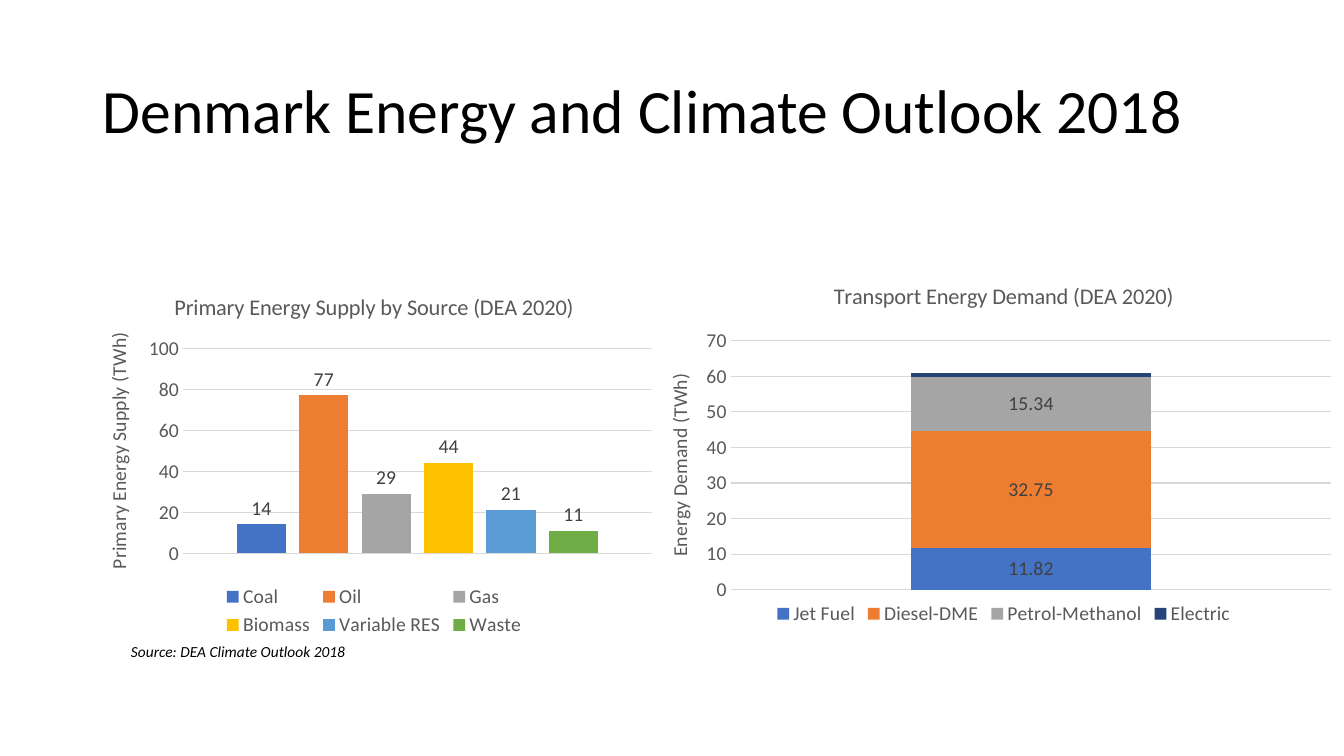
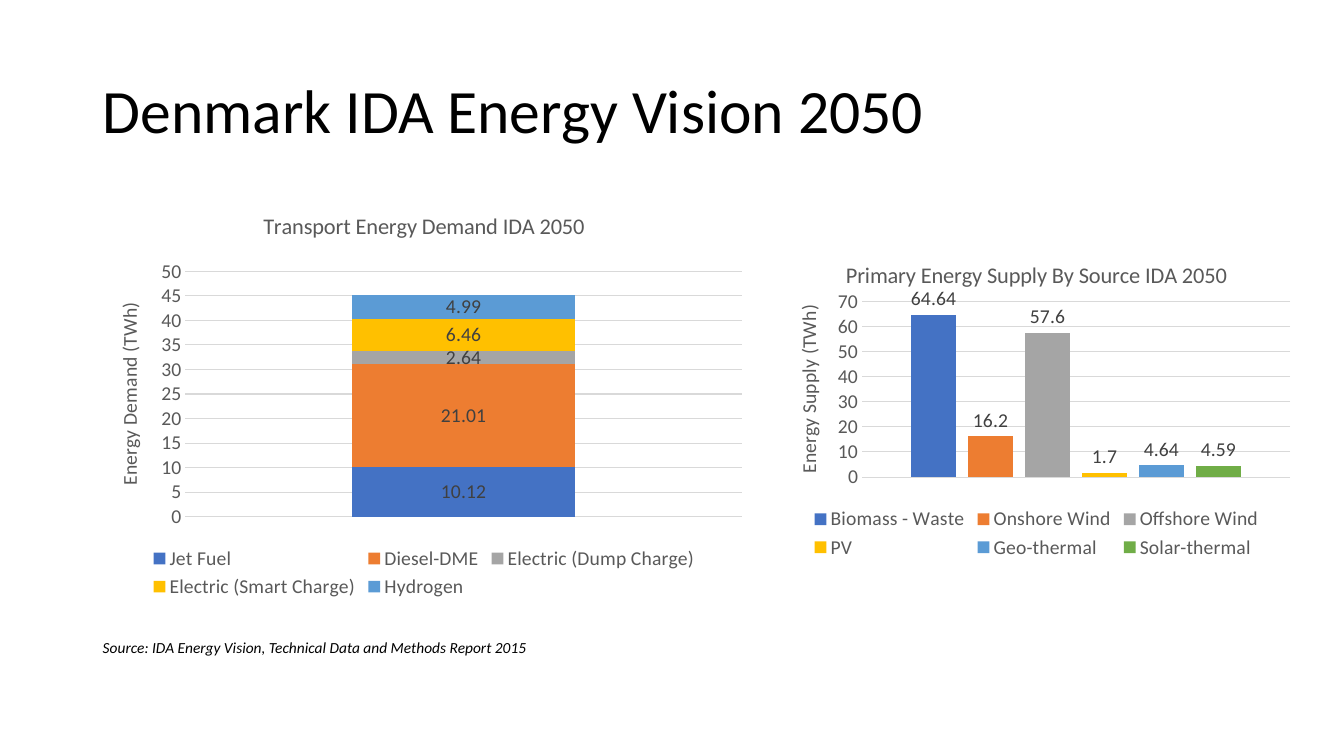
"""Build two slides of energy charts for Denmark."""
from lxml import etree
from pptx import Presentation
from pptx.chart.data import CategoryChartData
from pptx.dml.color import RGBColor
from pptx.enum.chart import XL_CHART_TYPE, XL_LABEL_POSITION, XL_LEGEND_POSITION, XL_TICK_MARK
from pptx.enum.text import MSO_ANCHOR
from pptx.oxml.ns import qn
from pptx.util import Inches, Pt

NO_TICK = XL_TICK_MARK.NONE
BOTTOM = XL_LEGEND_POSITION.BOTTOM
MIDDLE = MSO_ANCHOR.MIDDLE

THEME = {
    "font": "Calibri",
    "ink": "000000", "gray": "595959", "label": "404040", "grid": "D9D9D9",
    "series": ["4472C4", "ED7D31", "A5A5A5", "FFC000", "5B9BD5", "70AD47"],
    "navy": "264478",
    "title": 44, "head": 16, "body": 14, "note": 11,
}
STYLES = {
    "group": (XL_CHART_TYPE.COLUMN_CLUSTERED, XL_LABEL_POSITION.OUTSIDE_END, 219, -27),
    "stack": (XL_CHART_TYPE.COLUMN_STACKED, XL_LABEL_POSITION.CENTER, 150, 100),
}
TITLE_BOX = (0.92, 0.4, 11.5, 1.45)

SLIDES = [
    {
        "title": "Denmark Energy and Climate Outlook 2018",
        "source": ("Source: DEA Climate Outlook 2018", (1.2, 6.32, 7.08, 0.29)),
        "charts": [
            {
                "title": "Primary Energy Supply by Source (DEA 2020)",
                "axis": "Primary Energy Supply (TWh)",
                "style": "group", "box": (0.84, 2.73, 5.74, 3.63),
                "plot": (0.17, 0.2, 0.81, 0.56), "scale": (100, 20),
                "data": [("Coal", 14), ("Oil", 77), ("Gas", 29), ("Biomass", 44),
                         ("Variable RES", 21), ("Waste", 11)],
            },
            {
                "title": "Transport Energy Demand (DEA 2020)",
                "axis": "Energy Demand (TWh)",
                "style": "stack", "box": (6.57, 2.62, 6.77, 3.63),
                "plot": (0.1, 0.21, 0.88, 0.68), "scale": (70, 10),
                "data": [("Jet Fuel", 11.82), ("Diesel-DME", 32.75),
                         ("Petrol-Methanol", 15.34), ("Electric", 1)],
                "plain": "Electric",
            },
        ],
    },
    {
        "title": "Denmark IDA Energy Vision 2050",
        "source": ("Source: IDA Energy Vision, Technical Data and Methods Report 2015",
                   (0.92, 6.28, 7.08, 0.29)),
        "charts": [
            {
                "title": "Transport Energy Demand IDA 2050",
                "axis": "Energy Demand (TWh)",
                "style": "stack", "box": (0.92, 1.92, 6.57, 4.06),
                "plot": (0.14, 0.19, 0.84, 0.6), "scale": (50, 5),
                "data": [("Jet Fuel", 10.12), ("Diesel-DME", 21.01),
                         ("Electric (Dump Charge)", 2.64),
                         ("Electric (Smart Charge)", 6.46), ("Hydrogen", 4.99)],
            },
            {
                "title": "Primary Energy Supply By Source IDA 2050",
                "axis": "Energy Supply (TWh)",
                "style": "group", "box": (7.66, 2.42, 5.24, 3.17),
                "plot": (0.17, 0.18, 0.81, 0.55), "scale": (70, 10),
                "data": [("Biomass - Waste", 64.64), ("Onshore Wind", 16.2),
                         ("Offshore Wind", 57.6), ("PV", 1.7),
                         ("Geo-thermal", 4.64), ("Solar-thermal", 4.59)],
            },
        ],
    },
]


def set_font(font, size, color, italic=False):
    font.name = THEME["font"]
    font.size = Pt(THEME[size])
    font.color.rgb = RGBColor.from_string(THEME[color])
    font.bold = False
    font.italic = italic


def add_text(slide, text, box, size, italic=False):
    frame = slide.shapes.add_textbox(*map(Inches, box)).text_frame
    frame.word_wrap = True
    frame.text = text
    set_font(frame.paragraphs[0].runs[0].font, size, "ink", italic)
    return frame


def set_head(head, text, size):
    frame = head.text_frame
    frame.text = text
    set_font(frame.paragraphs[0].runs[0].font, size, "gray")
    return frame


def place_plot(chart, plot):
    area = chart.element.find(".//" + qn("c:plotArea"))
    for old in area.findall(qn("c:layout")):
        area.remove(old)
    layout = etree.Element(qn("c:layout"))
    manual = etree.SubElement(layout, qn("c:manualLayout"))
    parts = [("layoutTarget", "inner"), ("xMode", "edge"), ("yMode", "edge")]
    for tag, value in parts + list(zip("xywh", plot)):
        etree.SubElement(manual, qn("c:" + tag)).set("val", str(value))
    area.insert(0, layout)


def style_axes(chart, item):
    chart.category_axis.visible = False
    axis = chart.value_axis
    axis.minimum_scale = 0
    axis.maximum_scale, axis.major_unit = item["scale"]
    axis.major_tick_mark = axis.minor_tick_mark = NO_TICK
    axis.format.line.fill.background()
    grid = axis.major_gridlines.format.line
    grid.color.rgb = RGBColor.from_string(THEME["grid"])
    grid.width = Pt(0.75)
    set_font(axis.tick_labels.font, "body", "gray")
    frame = set_head(axis.axis_title, item["axis"], "body")
    frame._txBody.bodyPr.set("rot", "-5400000")


def add_graph(slide, item):
    kind, spot, gap, lap = STYLES[item["style"]]
    data = CategoryChartData()
    data.categories = ["1"]
    for name, value in item["data"]:
        data.add_series(name, [value])
    chart = slide.shapes.add_chart(kind, *map(Inches, item["box"]), data).chart
    set_font(chart.font, "body", "ink")
    chart.has_title = True
    set_head(chart.chart_title, item["title"], "head")
    chart.has_legend = True
    chart.legend.position = BOTTOM
    chart.legend.include_in_layout = False
    set_font(chart.legend.font, "body", "gray")
    style_axes(chart, item)
    place_plot(chart, item["plot"])
    plot = chart.plots[0]
    plot.vary_by_categories = False
    plot.gap_width, plot.overlap = gap, lap
    for series, color in zip(plot.series, THEME["series"]):
        plain = series.name == item.get("plain")
        fill = series.format.fill
        fill.solid()
        fill.fore_color.rgb = RGBColor.from_string(THEME["navy"] if plain else color)
        if not plain:
            labels = series.data_labels
            labels.show_value = True
            labels.position = spot
            set_font(labels.font, "body", "label")


def main():
    deck = Presentation()
    deck.slide_width, deck.slide_height = Inches(13.33), Inches(7.5)
    for page in SLIDES:
        slide = deck.slides.add_slide(deck.slide_layouts[6])
        title = add_text(slide, page["title"], TITLE_BOX, "title")
        title.vertical_anchor = MIDDLE
        title.paragraphs[0].line_spacing = 0.9
        for item in page["charts"]:
            add_graph(slide, item)
        add_text(slide, *page["source"], "note", italic=True)
    deck.save("out.pptx")


if __name__ == "__main__":
    main()
